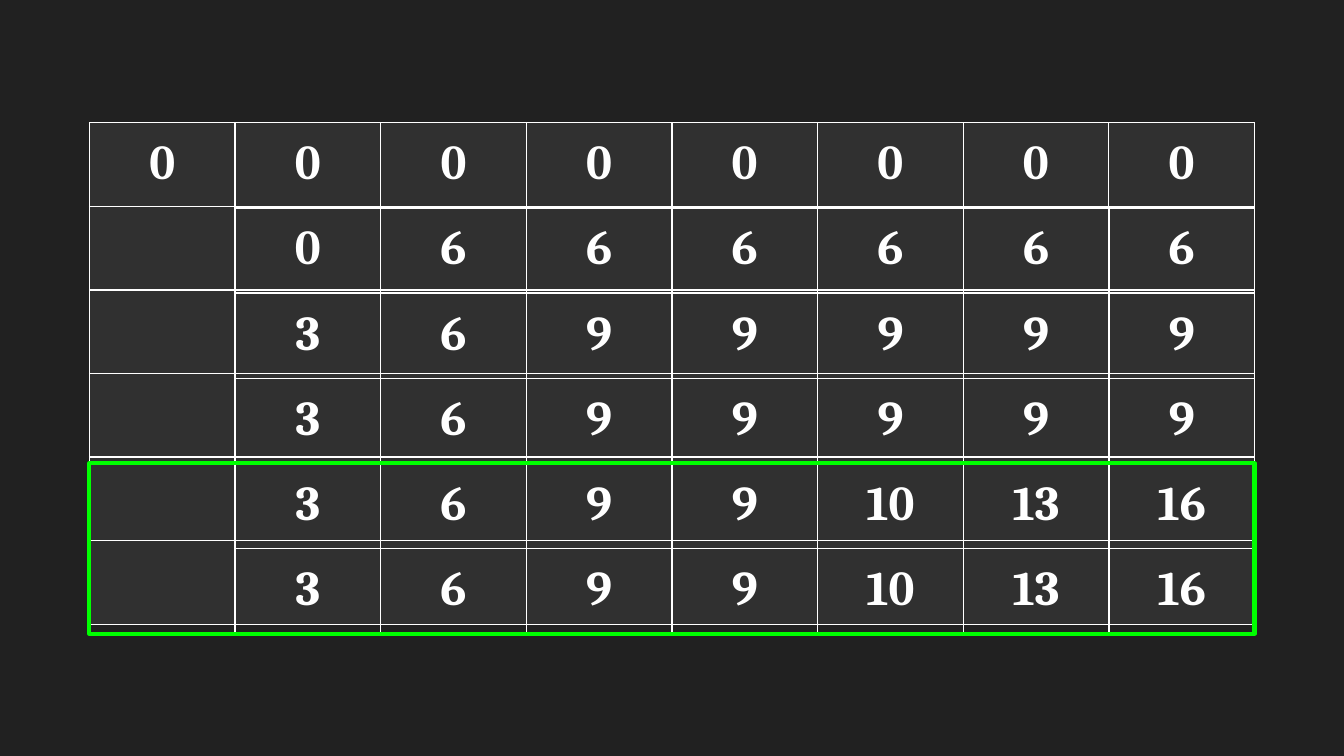
from dataclasses import dataclass

from lxml import etree
from pptx import Presentation
from pptx import util as u
from pptx.dml.color import RGBColor
from pptx.enum import shapes, text
from pptx.oxml import ns


@dataclass(frozen=True)
class Theme:
    """Colours, font and type sizes of the slide."""
    background: str = "212121"
    cell: str = "303030"
    ink: str = "FFFFFF"
    highlight: str = "00FF00"
    font: str = "Cambria"
    number_size: float = 26
    border: float = 0.75
    highlight_width: float = 2.25


LEFT, TOP = 1.69, 2.32
GRID_WIDTH = 22.02
COLUMN_WIDTH = GRID_WIDTH / 8
GRID_ROW, CARD_ROW = 1.58, 1.61
CELL_MARGIN = 0.25
FRAME_SIZE = 8.33

BASE_ROWS = [["0", ""] + ["0"] * 6] + [[""] * 8 for _ in range(5)]
CARD_VALUES = [
    [0],
    [0, 6, 6, 6, 6, 6, 6],
    [3, 6, 9, 9, 9, 9, 9],
    [3, 6, 9, 9, 9, 9, 9],
    [3, 6, 9, 9, 10, 13, 16],
    [3, 6, 9, 9, 10, 13, 16],
]
STACKING_ORDER = (2, 3, 4, 1, 5, 6, 7)


def apply(target, values):
    """Set each attribute named in values on the target."""
    for name, value in values.items():
        setattr(target, name, value)


class Board:
    """Draws styled elements on the current slide."""

    def __init__(self, slide, theme):
        """Keep the slide and theme and paint the background."""
        self.slide, self.theme = slide, theme
        self.paint(slide.background.fill, theme.background)

    def paint(self, fill, colour):
        """Make a fill solid in the given colour."""
        fill.solid()
        fill.fore_color.rgb = RGBColor.from_string(colour)

    def border(self, cell):
        """Draw a thin line on all four sides of a cell."""
        properties = cell._tc.get_or_add_tcPr()
        for side in ("lnL", "lnR", "lnT", "lnB"):
            line = etree.SubElement(properties, ns.qn(f"a:{side}"),
                                    w=str(u.Pt(self.theme.border)))
            solid = etree.SubElement(line, ns.qn("a:solidFill"))
            etree.SubElement(solid, ns.qn("a:srgbClr"), val=self.theme.ink)

    def number(self, cell, value):
        """Write a centred bold number in a cell."""
        paragraph = cell.text_frame.paragraphs[0]
        paragraph.alignment = text.PP_ALIGN.CENTER
        run = paragraph.add_run()
        run.text = value
        apply(run.font, {"name": self.theme.font, "bold": True,
                         "size": u.Pt(self.theme.number_size)})
        run.font.color.rgb = RGBColor.from_string(self.theme.ink)

    def table(self, left, top, row_height, rows, colour=None):
        """Add a bordered table; without a colour its cells are clear."""
        frame = self.slide.shapes.add_table(
            len(rows), len(rows[0]), u.Cm(left), u.Cm(top),
            u.Cm(COLUMN_WIDTH * len(rows[0])), u.Cm(row_height * len(rows)))
        table = frame.table
        apply(table, {"first_row": False, "horz_banding": False})
        apply(frame, {"width": u.Cm(FRAME_SIZE), "height": u.Cm(FRAME_SIZE)})
        for row, values in zip(table.rows, rows):
            for cell, value in zip(row.cells, values):
                apply(cell, {f"margin_{side}": u.Cm(CELL_MARGIN)
                             for side in ("left", "right", "top", "bottom")})
                self.border(cell)
                if colour:
                    self.paint(cell.fill, colour)
                else:
                    cell.fill.background()
                if value:
                    self.number(cell, value)

    def outline(self, left, top, width, height):
        """Add an unfilled highlight rectangle."""
        shape = self.slide.shapes.add_shape(
            shapes.MSO_SHAPE.RECTANGLE,
            *(u.Cm(length) for length in (left, top, width, height)))
        shape.shadow.inherit = False
        shape.fill.background()
        shape.line.color.rgb = RGBColor.from_string(self.theme.highlight)
        shape.line.width = u.Pt(self.theme.highlight_width)


def main():
    """Build and save the presentation."""
    presentation = Presentation()
    apply(presentation, {"slide_width": u.Cm(25.4),
                         "slide_height": u.Cm(14.29)})
    slide = presentation.slides.add_slide(presentation.slide_layouts[6])
    theme = Theme()
    board = Board(slide, theme)

    board.table(LEFT, TOP, GRID_ROW, BASE_ROWS, theme.cell)
    for row, values in enumerate(CARD_VALUES):
        for column in STACKING_ORDER:
            if column <= len(values):
                board.table(LEFT + column * COLUMN_WIDTH,
                            TOP + row * CARD_ROW, CARD_ROW,
                            [[str(values[column - 1])]])
    board.outline(LEFT, TOP + 4 * CARD_ROW, GRID_WIDTH, 2 * CARD_ROW)

    presentation.save("out.pptx")


main()
